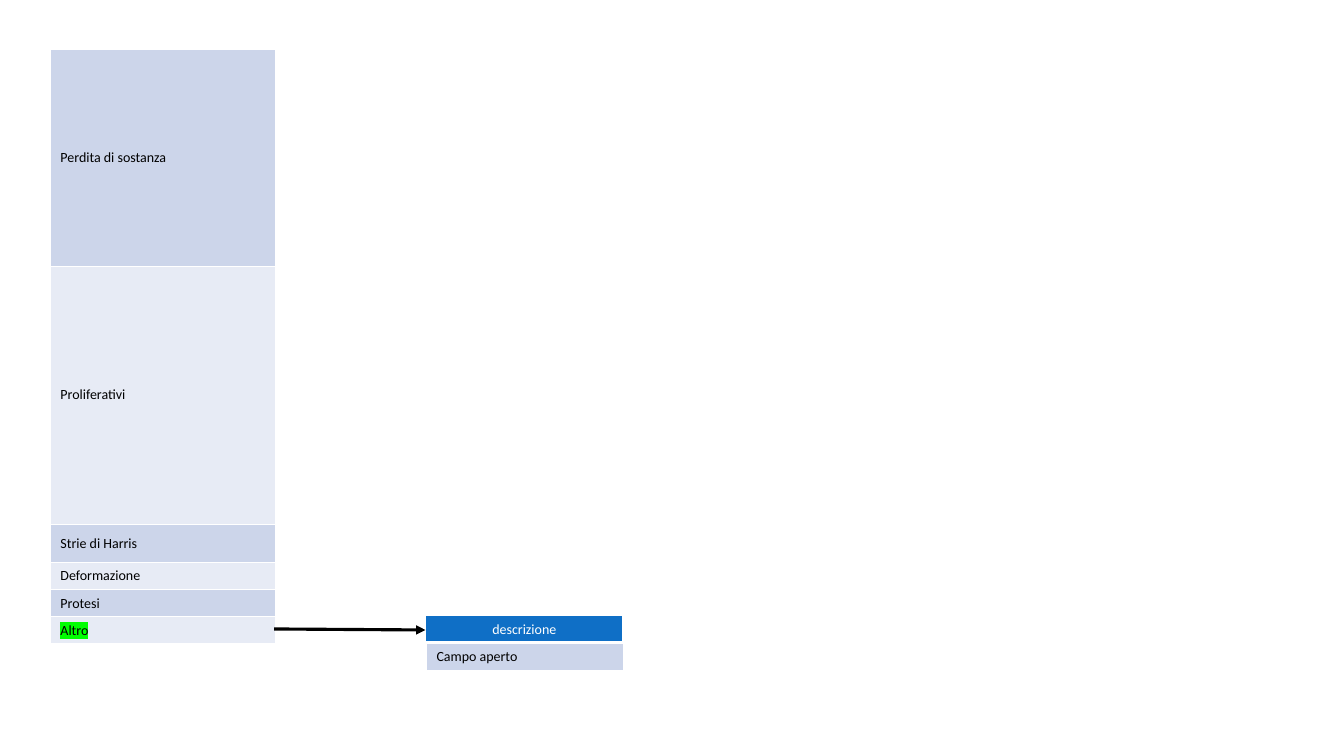
from dataclasses import dataclass

from lxml import etree
from pptx import Presentation
from pptx.dml.color import RGBColor
from pptx.enum.shapes import MSO_CONNECTOR
from pptx.enum.text import MSO_ANCHOR, PP_ALIGN
from pptx.oxml.ns import qn
from pptx.util import Emu, Pt

PX = 9144
BLANK_LAYOUT = 6
STRAIGHT = MSO_CONNECTOR.STRAIGHT
MIDDLE, TOP = MSO_ANCHOR.MIDDLE, MSO_ANCHOR.TOP
LEFT, CENTER = PP_ALIGN.LEFT, PP_ALIGN.CENTER


@dataclass(frozen=True)
class Theme:
    font: str = "Calibri"
    size: int = 10
    text: str = "000000"
    inverse: str = "FFFFFF"
    header: str = "0F6FC6"
    bands: tuple = ("CCD5EA", "E7EBF5")
    border: str = "FFFFFF"
    thin: int = 1
    thick: int = 3
    arrow: str = "000000"
    arrow_width: float = 2.25
    highlight: str = "00FF00"


THEME = Theme()


def px(n):
    return Emu(n * PX)


def add_color(parent, tag, color):
    holder = etree.SubElement(parent, qn(tag))
    etree.SubElement(holder, qn("a:srgbClr"), val=color)


def write(tf, text, color=THEME.text, align=LEFT, highlight=None):
    p = tf.paragraphs[0]
    p.alignment = align
    r = p.add_run()
    r.text = text
    r.font.size = Pt(THEME.size)
    r.font.color.rgb = RGBColor.from_string(color)
    if highlight:
        add_color(r.font._element, "a:highlight", highlight)
    r.font.name = THEME.font


def set_borders(cell, bottom):
    tc_pr = cell._tc.get_or_add_tcPr()
    for side in "LRTB":
        width = bottom if side == "B" else THEME.thin
        ln = etree.SubElement(tc_pr, qn(f"a:ln{side}"), w=str(Pt(width)))
        add_color(ln, "a:solidFill", THEME.border)


def add_column(s, x, y, w, rows, fills=THEME.bands, anchor=MIDDLE,
               bottom=THEME.thin, **text_format):
    height = sum(h for _, h, _ in rows)
    frame = s.shapes.add_table(len(rows), 1, px(x), px(y), px(w), px(height))
    table = frame.table
    table.first_row = table.horz_banding = False
    for i, (text, h, highlight) in enumerate(rows):
        table.rows[i].height = px(h)
        cell = table.cell(i, 0)
        cell.vertical_anchor = anchor
        set_borders(cell, bottom)
        cell.fill.solid()
        cell.fill.fore_color.rgb = RGBColor.from_string(fills[i % len(fills)])
        write(cell.text_frame, text, highlight=highlight, **text_format)


def add_arrow(s, x1, y1, x2, y2):
    line = s.shapes.add_connector(STRAIGHT, px(x1), px(y1), px(x2), px(y2))
    line.line.color.rgb = RGBColor.from_string(THEME.arrow)
    line.line.width = Pt(THEME.arrow_width)
    etree.SubElement(line.line._get_or_add_ln(), qn("a:tailEnd"), type="triangle")
    etree.SubElement(line._element.spPr, qn("a:effectLst"))


def add_categories(s, x, y, w, row_h):
    add_column(s, x, y, w, [
        ("Perdita di sostanza", 215, None),
        ("Proliferativi", 256, None),
        ("Strie di Harris", 38, None),
        ("Deformazione", row_h, None),
        ("Protesi", row_h, None),
        ("Altro", row_h, THEME.highlight),
    ])


def add_description(s, x, y, w, row_h):
    add_column(s, x, y, w, [("descrizione", row_h, None)],
               fills=(THEME.header,), bottom=THEME.thick,
               color=THEME.inverse, align=CENTER)
    add_column(s, x + 1, y + row_h, w, [("Campo aperto", row_h, None)], anchor=TOP)


def main():
    prs = Presentation()
    prs.slide_width, prs.slide_height = px(1333), px(750)
    s = prs.slides.add_slide(prs.slide_layouts[BLANK_LAYOUT])
    row_h = 27
    add_categories(s, 50, 49, 223, row_h)
    add_description(s, 422, 611, 196, row_h)
    add_arrow(s, 272, 624, 422, 625)
    prs.save("out.pptx")


if __name__ == "__main__":
    main()
